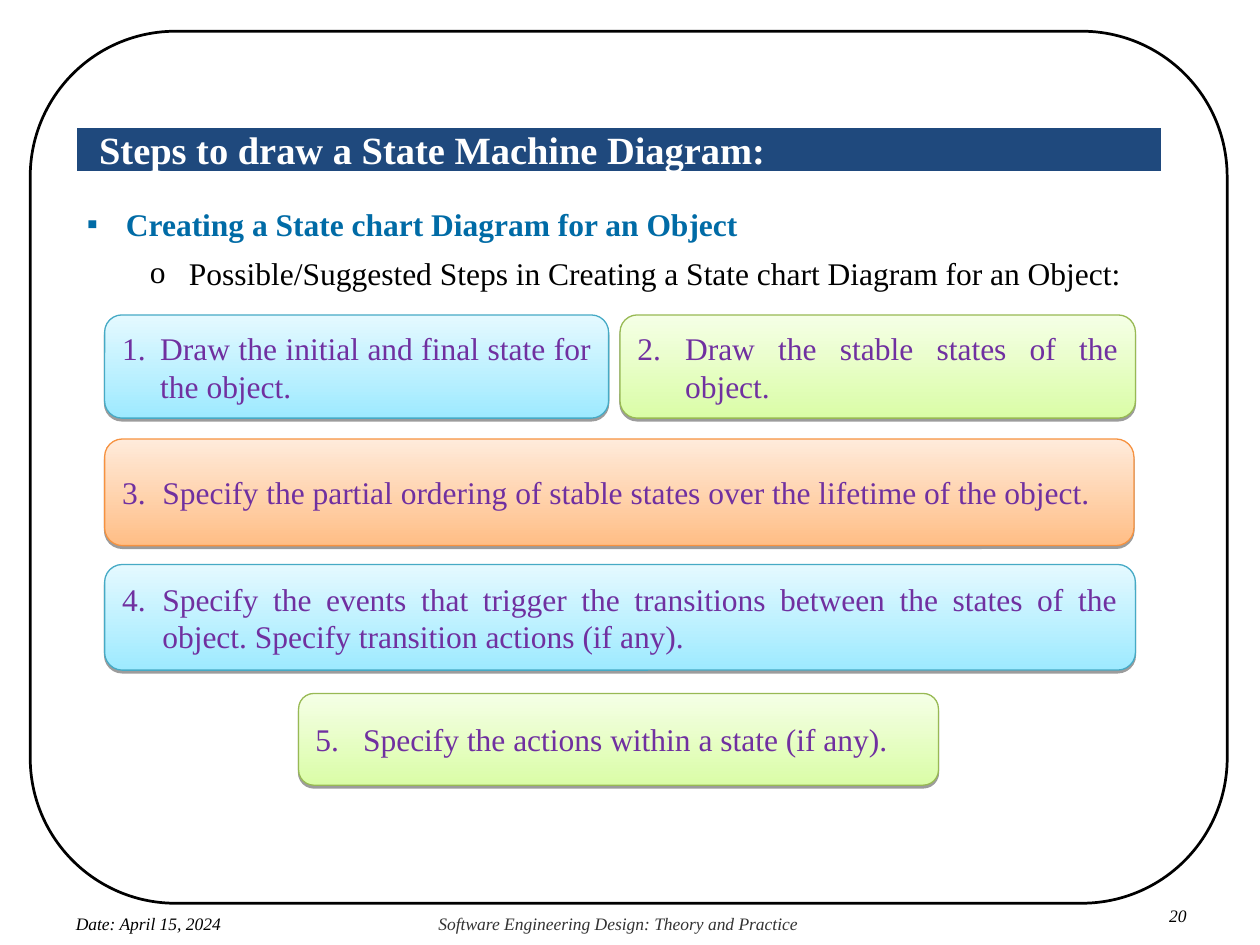
import pptx
import pptx.util
import pptx.dml.color
import pptx.enum.shapes
import pptx.enum.text
import pptx.oxml
import pptx.oxml.ns

Cm, Pt = pptx.util.Cm, pptx.util.Pt
RGB = pptx.dml.color.RGBColor.from_string
SHAPE = pptx.enum.shapes.MSO_SHAPE
ANCHOR = pptx.enum.text.MSO_ANCHOR
JUSTIFY = pptx.enum.text.PP_ALIGN.JUSTIFY
NS = pptx.oxml.ns.nsdecls("a")

COLORS = {
    "black": "000000", "white": "FFFFFF", "gray": "333333",
    "navy": "1F497D", "heading": "006BA6", "step": "7030A0",
}
# bottom of the gradient, top of the gradient, outline
THEMES = {
    "blue": ("9EEAFF", "E4F9FF", "46AAC5"),
    "green": ("DAFDA7", "F5FFE6", "98B954"),
    "orange": ("FFBE86", "FFEBDB", "F69240"),
}


def write(p, text, color, margin=0, hanging=0, bullet=None, para=None, **font):
    """Fill a paragraph; bullet is the XML of its bullet element."""
    pPr = p._p.get_or_add_pPr()
    pPr.set("marL", str(Cm(margin)))
    pPr.set("indent", str(-Cm(hanging)))
    if bullet:
        for xml in (f'<a:buClr {NS}><a:srgbClr val="{COLORS[color]}"/></a:buClr>',
                    f'<a:buFont {NS} typeface="Times New Roman"/>', bullet):
            pPr.append(pptx.oxml.parse_xml(xml))
    for name, value in (para or {}).items():
        setattr(p, name, value)
    r = p.add_run()
    r.text = text
    for name, value in {"name": "Times New Roman", **font}.items():
        setattr(r.font, name, value)
    r.font.color.rgb = RGB(COLORS[color])


def frame(sp, x=0, y=0, anchor=ANCHOR.TOP):
    """Set wrapping, anchor and insets (cm), and return the text frame."""
    tf = sp.text_frame
    fmt = {"word_wrap": True, "vertical_anchor": anchor, "margin_left": Cm(x),
           "margin_right": Cm(x), "margin_top": Cm(y), "margin_bottom": Cm(y)}
    for name, value in fmt.items():
        setattr(tf, name, value)
    return tf


prs = pptx.Presentation()
prs.slide_width, prs.slide_height = Cm(25.4), Cm(19.05)
s = prs.slides.add_slide(prs.slide_layouts[6])

# Page border
sp = s.shapes.add_shape(SHAPE.ROUNDED_RECTANGLE, Cm(0.61), Cm(0.63), Cm(24.13), Cm(17.58))
sp.shadow.inherit = False
sp.fill.background()
sp.line.color.rgb = RGB(COLORS["black"])
sp.line.width = Pt(1.56)

# Title bar
sp = s.shapes.add_shape(SHAPE.RECTANGLE, Cm(1.52), Cm(2.54), Cm(21.92), Cm(0.94))
sp.shadow.inherit = False
sp.fill.solid()
sp.fill.fore_color.rgb = RGB(COLORS["navy"])
sp.line.color.rgb = RGB(COLORS["white"])
sp.line.width = Pt(2)
tf = frame(sp, anchor=ANCHOR.BOTTOM)
write(tf.paragraphs[0], "Steps to draw a State Machine Diagram:", "white", margin=0.48,
      para={"alignment": pptx.enum.text.PP_ALIGN.LEFT}, size=Pt(22), bold=True)

# Heading and lead-in
sp = s.shapes.add_textbox(Cm(1.5), Cm(4.01), Cm(21.92), Cm(2.01))
tf = frame(sp, 0.25, 0.13)
write(tf.paragraphs[0], "Creating a State chart Diagram for an Object", "heading",
      0.79, 0.79, f'<a:buChar {NS} char="▪"/>',
      {"alignment": JUSTIFY, "space_after": Pt(6)}, size=Pt(18), bold=True)
write(tf.add_paragraph(),
      "Possible/Suggested Steps in Creating a State chart Diagram for an Object:", "black",
      2.06, 0.79, f'<a:buChar {NS} char="o"/>',
      {"alignment": JUSTIFY, "level": 1, "space_after": Pt(12)}, size=Pt(18))

# Numbered steps: left, top, width, height, hanging indent, theme, text
STEPS = [
    (2.11, 6.35, 10.16, 2.08, 0.77, "blue", "Draw the initial and final state for the object."),
    (12.5, 6.35, 10.39, 2.08, 0.96, "green", "Draw the stable states of the object."),
    (2.11, 8.85, 20.75, 2.15, 0.81, "orange",
     "Specify the partial ordering of stable states over the lifetime of the object."),
    (2.11, 11.38, 20.78, 2.13, 0.81, "blue",
     "Specify the events that trigger the transitions between the states of the object. "
     "Specify transition actions (if any)."),
    (6.02, 13.98, 12.9, 1.85, 0.96, "green", "Specify the actions within a state (if any)."),
]
for number, (x, y, w, h, hanging, theme, text) in enumerate(STEPS, 1):
    sp = s.shapes.add_shape(SHAPE.ROUNDED_RECTANGLE, Cm(x), Cm(y), Cm(w), Cm(h))
    bottom, top, outline = THEMES[theme]
    sp.fill.gradient()
    sp.fill.gradient_angle = 90
    for stop, color in zip(sp.fill.gradient_stops, (bottom, top)):
        stop.color.rgb = RGB(color)
    sp.line.color.rgb = RGB(outline)
    sp.line.width = Pt(0.75)
    sp._element.spPr.append(pptx.oxml.parse_xml(
        f'<a:effectLst {NS}><a:outerShdw blurRad="0" dist="{Pt(1.6)}" dir="5400000" '
        f'rotWithShape="0"><a:srgbClr val="{COLORS["black"]}"><a:alpha val="38000"/>'
        '</a:srgbClr></a:outerShdw></a:effectLst>'))
    tf = frame(sp, 0.25, 0.13, ANCHOR.MIDDLE)
    write(tf.paragraphs[0], text, "step", hanging, hanging,
          f'<a:buAutoNum {NS} type="arabicPeriod" startAt="{number}"/>',
          {"alignment": JUSTIFY, "level": 1, "space_after": Pt(6)}, size=Pt(18))

# Footer: left, top, width, margin, colour, text
FOOTER = [
    (1.5, 18.42, 4.01, 0.03, "black", "Date: April 15, 2024"),
    (8.81, 18.42, 7.34, 0.03, "gray", "Software Engineering Design: Theory and Practice"),
    (23.29, 18.26, 0.9, 0.28, "black", "20"),
]
for x, y, w, margin, color, text in FOOTER:
    sp = s.shapes.add_textbox(Cm(x), Cm(y), Cm(w), Cm(0.41))
    write(frame(sp).paragraphs[0], text, color, margin,
          para={"line_spacing": Pt(11.8)}, size=Pt(10), italic=True)

prs.save("out.pptx")
